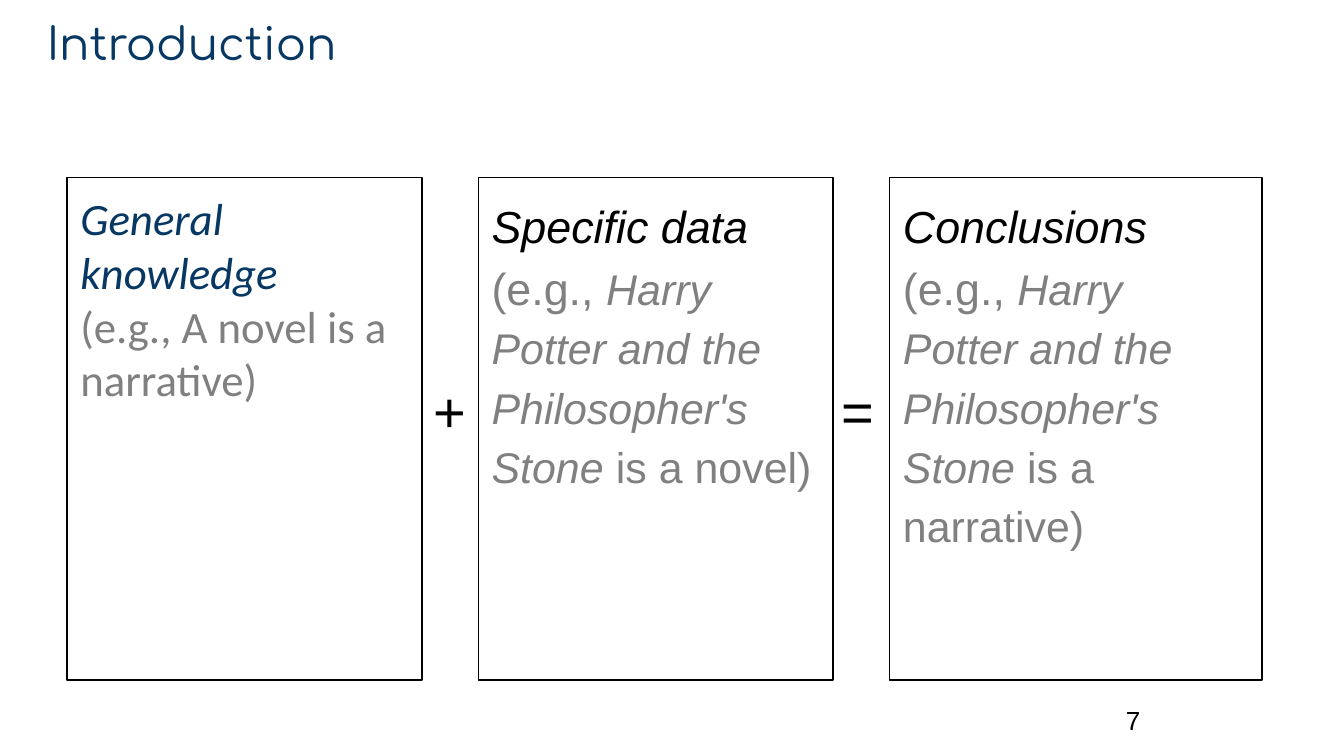
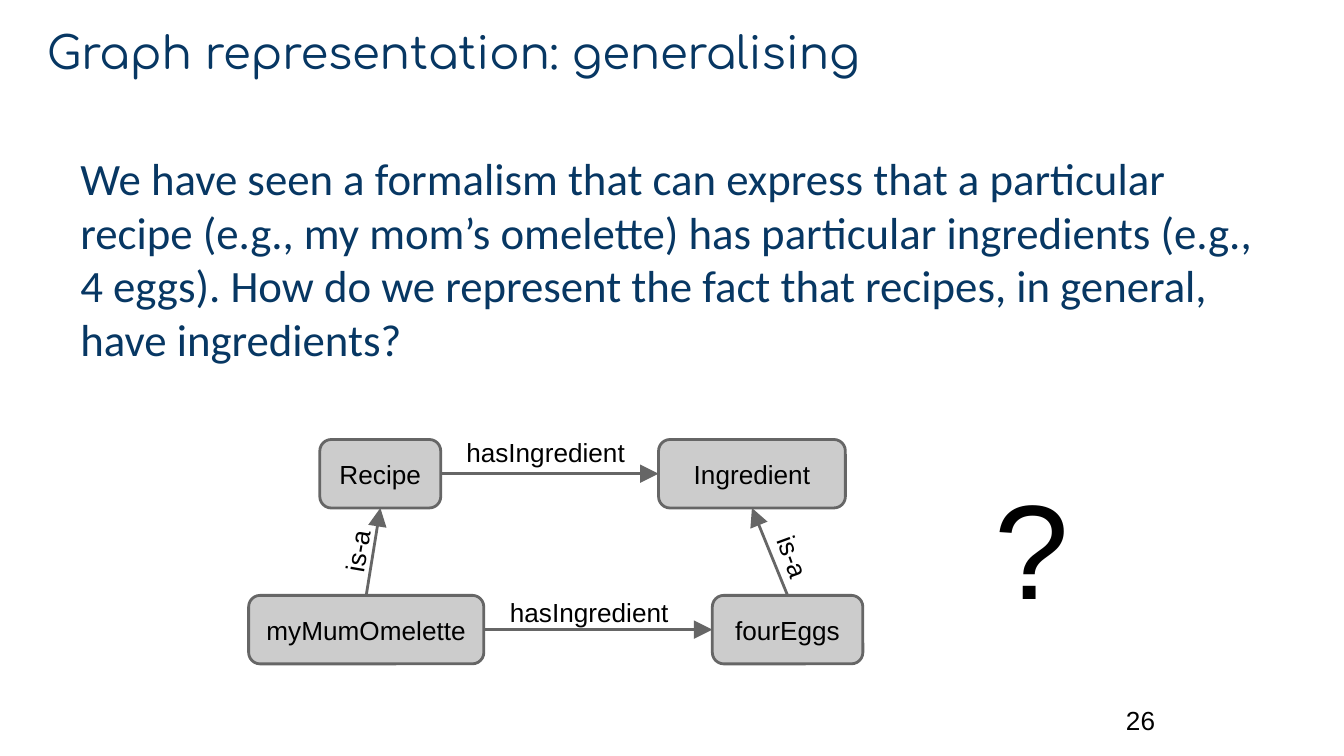
import pptx
import pptx.dml.color
import pptx.enum.shapes
import pptx.enum.text
import pptx.oxml.ns
import pptx.util
from lxml import etree

Inches = pptx.util.Inches
SHAPES = pptx.enum.shapes.MSO_SHAPE
ALIGN = pptx.enum.text.PP_ALIGN
ANCHOR = pptx.enum.text.MSO_ANCHOR

COLOURS = {
    "navy": "073763",
    "black": "000000",
    "example": "808080",
    "node": "CCCCCC",
    "edge": "666666",
}
TOP, LEFT, BOTTOM, RIGHT = range(4)  # connection sites


def colour(name):
    return pptx.dml.color.RGBColor.from_string(COLOURS[name])


def write_text(shape, paragraphs, size=14, font="Arial", ink="black", italic=False,
               align=ALIGN.LEFT, anchor=ANCHOR.TOP, inset=0.1,
               line_spacing=None, space_after=None):
    """Fill a shape with a string, or with paragraphs of (text, overrides) runs."""
    if isinstance(paragraphs, str):
        paragraphs = [[(paragraphs, {})]]
    frame = shape.text_frame
    frame.word_wrap = True
    frame.vertical_anchor = anchor
    frame.margin_left = frame.margin_right = Inches(0.1)
    frame.margin_top = frame.margin_bottom = Inches(inset)
    for index, runs in enumerate(paragraphs):
        paragraph = frame.add_paragraph() if index else frame.paragraphs[0]
        paragraph.alignment = align
        if line_spacing:
            paragraph.line_spacing = line_spacing
        if space_after:
            paragraph.space_after = pptx.util.Pt(space_after)
        for text, overrides in runs:
            style = {"size": size, "ink": ink, "italic": italic, **overrides}
            run = paragraph.add_run()
            run.text = text
            run.font.name = font
            run.font.size = pptx.util.Pt(style["size"])
            run.font.italic = style["italic"]
            run.font.color.rgb = colour(style["ink"])


def add_text(slide, box, paragraphs, rotation=0, **text_format):
    shape = slide.shapes.add_textbox(*map(Inches, box))
    shape.rotation = rotation
    write_text(shape, paragraphs, **text_format)
    return shape


def add_box(slide, box, kind, fill, line, line_width):
    shape = slide.shapes.add_shape(kind, *map(Inches, box))
    shape.shadow.inherit = False
    if fill:
        shape.fill.solid()
        shape.fill.fore_color.rgb = colour(fill)
    else:
        shape.fill.background()
    shape.line.color.rgb = colour(line)
    shape.line.width = pptx.util.Pt(line_width)
    return shape


def add_arrow(slide, start, start_site, end, end_site):
    arrow = slide.shapes.add_connector(pptx.enum.shapes.MSO_CONNECTOR.STRAIGHT, 0, 0, 0, 0)
    arrow.begin_connect(start, start_site)
    arrow.end_connect(end, end_site)
    arrow.line.color.rgb = colour("edge")
    arrow.line.width = pptx.util.Pt(1.5)
    qualified = pptx.oxml.ns.qn
    properties = arrow._element.spPr
    etree.SubElement(properties.find(qualified("a:ln")), qualified("a:tailEnd"),
                     type="triangle", w="lg", len="lg")
    etree.SubElement(properties, qualified("a:effectLst"))


# Shared by both slides: title and page number
def add_slide(presentation, title, number, title_anchor):
    slide = presentation.slides.add_slide(presentation.slide_layouts[6])
    add_text(slide, (0.25, 0.14, 9, 0.48), title, size=24, font="Comfortaa",
             ink="navy", anchor=title_anchor)
    add_text(slide, (8.28, 5.14, 0.6, 0.43), str(number), anchor=ANCHOR.MIDDLE)
    return slide


# Three panels in a row, joined by operator signs
def add_equation(slide, left, top, height, gap, panels, signs):
    for width, paragraphs, text_format in panels:
        panel = add_box(slide, (left, top, width, height), SHAPES.RECTANGLE,
                        None, "black", 0.75)
        write_text(panel, paragraphs, size=24, italic=True, **text_format)
        left += width + gap
    for sign, sign_left in signs:
        add_text(slide, (sign_left, top + 1.26, 0.53, 0.94), sign, size=30,
                 align=ALIGN.CENTER, anchor=ANCHOR.MIDDLE)


# Nodes, arrows and arrow labels, placed from the graph's top left corner
def add_graph(slide, left, top):
    row_step, height = 1.16, 0.51
    nodes = {}
    for name, x, row, width in [
        ("myMumOmelette", 0, 1, 1.75),
        ("fourEggs", 3.45, 1, 1.12),
        ("Recipe", 0.53, 0, 0.9),
        ("Ingredient", 3.05, 0, 1.39),
    ]:
        node = add_box(slide, (left + x, top + row * row_step, width, height),
                       SHAPES.ROUNDED_RECTANGLE, "node", "edge", 1.5)
        node.adjustments[0] = 0.167
        write_text(node, name, align=ALIGN.CENTER, anchor=ANCHOR.MIDDLE)
        nodes[name] = node

    for start, start_site, end, end_site in [
        ("myMumOmelette", RIGHT, "fourEggs", LEFT),
        ("Recipe", RIGHT, "Ingredient", LEFT),
        ("myMumOmelette", TOP, "Recipe", BOTTOM),
        ("fourEggs", TOP, "Ingredient", BOTTOM),
    ]:
        add_arrow(slide, nodes[start], start_site, nodes[end], end_site)

    for text, x, y, width, rotation in [
        ("hasIngredient", 1.75, 1.07, 1.57, 0),
        ("hasIngredient", 1.5, -0.12, 1.42, 0),
        ("is-a", 0.41, 0.58, 0.87, 279.8),
        ("is-a", 3.58, 0.63, 0.87, 69.9),
    ]:
        add_text(slide, (left + x, top + y, width, height), text,
                 rotation=rotation, align=ALIGN.CENTER)


def build_introduction(presentation):
    slide = add_slide(presentation, "Introduction", 7, ANCHOR.BOTTOM)
    example = {"ink": "example", "italic": False}
    novel = {"ink": "example", "size": 23}
    novel_end = {**novel, "italic": False}

    def novel_text(heading, ending):
        return [[(heading, {}), ("(e.g., ", example),
                 ("Harry Potter and the Philosopher's Stone", novel),
                 (ending, novel_end)]]

    knowledge = [[("General knowledge", {})],
                 [("(e.g., A novel is a narrative)", example)]]
    spaced = {"line_spacing": 1.15, "space_after": 6}
    panels = [
        (2.64, knowledge, {"font": "Calibri", "ink": "navy"}),
        (2.64, novel_text("Specific data ", " is a novel)"), spaced),
        (2.77, novel_text("Conclusions ", " is a narrative)"), spaced),
    ]
    add_equation(slide, 0.5, 1.32, 3.74, 0.42, panels, [("+", 3.08), ("=", 6.12)])


def build_generalising(presentation):
    slide = add_slide(presentation, "Graph representation: generalising", 26, ANCHOR.MIDDLE)
    add_text(slide, (0.5, 1.02, 9, 4.07),
             "We have seen a formalism that can express that a particular recipe "
             "(e.g., my mom’s omelette) has particular ingredients (e.g., 4 eggs). "
             "How do we represent the fact that recipes, in general, have ingredients?",
             size=24, font="Calibri", ink="navy")
    add_graph(slide, 1.85, 3.27)
    question = add_text(slide, (7.05, 3.41, 1.26, 1.31), "?", size=72,
                        align=ALIGN.CENTER, inset=0.05)
    question.text_frame.auto_size = pptx.enum.text.MSO_AUTO_SIZE.SHAPE_TO_FIT_TEXT


def main():
    presentation = pptx.Presentation()
    presentation.slide_width = Inches(10)
    presentation.slide_height = Inches(10 * 9 / 16)
    build_introduction(presentation)
    build_generalising(presentation)
    presentation.save("out.pptx")


if __name__ == "__main__":
    main()
